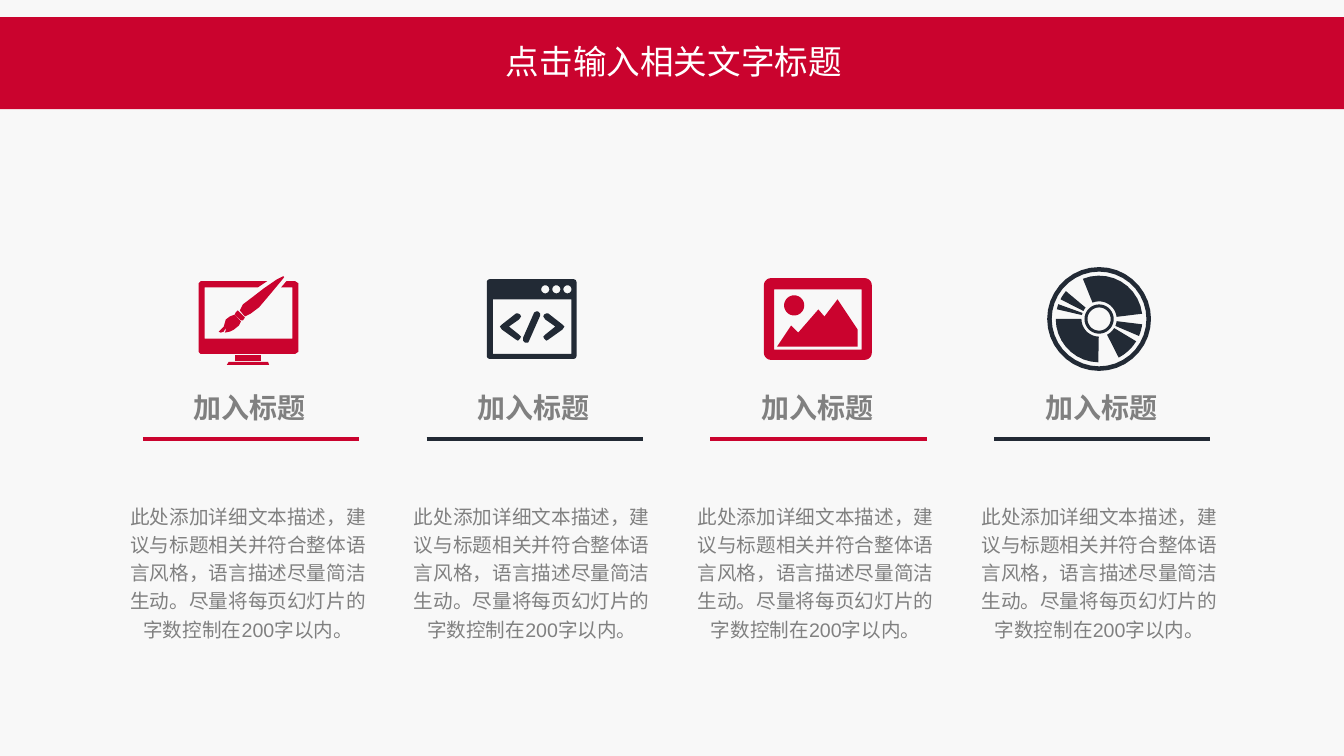
"""Build a slide with a title band and four icon columns."""
from dataclasses import dataclass
from math import cos, radians, sin

from pptx import Presentation
from pptx.dml.color import RGBColor
from pptx.enum.shapes import MSO_CONNECTOR, MSO_SHAPE
from pptx.enum.text import MSO_AUTO_SIZE, PP_ALIGN
from pptx.oxml.ns import qn
from pptx.slide import Slide
from pptx.util import Cm, Pt
from lxml.etree import SubElement

Contour = list[tuple[float, float]]
Part = list[Contour]

RED, NAVY, GRAY, WHITE, PAPER = "CA032E", "222A35", "808080", "FFFFFF", "F8F8F8"
GRID = 0.0254
COLUMN_LEFT, COLUMN_PITCH, RULE_WIDTH, RULE_TOP = 3.6, 7.15, 5.45, 11.07
HEADING = "加入标题"
DESCRIPTION = (
    "此处添加详细文本描述，建议与标题相关并符合整体语言风格，"
    "语言描述尽量简洁生动。尽量将每页幻灯片的字数控制在200字以内。"
)


@dataclass
class TextStyle:
    """Hold the look of one kind of text."""
    font: dict
    frame: dict
    color: str
    line_spacing: float = 1.0


@dataclass
class Column:
    """Hold the accent colour and icon of one column."""
    color: str
    icon: list[Part]


TITLE = TextStyle({"name": "Noto Sans CJK SC", "size": Pt(24)}, {"word_wrap": False}, WHITE)
SNUG = {"word_wrap": True, "margin_top": Cm(0), "margin_bottom": Cm(0), "margin_right": Cm(0.25)}
LABEL = TextStyle({"name": "Arial", "size": Pt(20), "bold": True}, {**SNUG, "margin_left": Cm(0)}, GRAY)
BODY = TextStyle({"name": "Arial", "size": Pt(14)}, {**SNUG, "margin_left": Cm(0.25)}, GRAY, 1.2)


def color(value: str) -> RGBColor:
    """Turn a hex string into a colour."""
    return RGBColor.from_string(value)


def arc(x: float, y: float, radius: float, start: float, end: float) -> Contour:
    """Return points along a circular arc, angles in degrees."""
    steps = max(4, round(abs(end - start) / 10))
    angles = [radians(start + (end - start) * step / steps) for step in range(steps + 1)]
    return [(x + radius * cos(angle), y + radius * sin(angle)) for angle in angles]


def circle(x: float, y: float, radius: float) -> Contour:
    """Return a full circle."""
    return arc(x, y, radius, 0, 360)


def rectangle(left: float, top: float, right: float, bottom: float) -> Contour:
    """Return a rectangle with sharp corners."""
    return [(left, top), (right, top), (right, bottom), (left, bottom)]


def rounded(left: float, top: float, right: float, bottom: float, radius: float) -> Contour:
    """Return a rectangle with rounded corners."""
    centers = rectangle(left + radius, top + radius, right - radius, bottom - radius)
    return [
        point
        for corner, (x, y) in enumerate(centers)
        for point in arc(x, y, radius, 180 + 90 * corner, 270 + 90 * corner)
    ]


def wedge(x: float, y: float, start: float, end: float) -> Contour:
    """Return one sector of the disc surface."""
    return arc(x, y, 43, start, end) + arc(x, y, 17.5, end, start)


def monitor_icon() -> list[Part]:
    """Return a monitor with a paint brush."""
    screen = [(293, 279), (284, 279), (279, 285), (290, 285), (290, 336), (203, 336),
              (203, 285), (256, 285), (265, 279), (199, 279), (197, 281), (197, 349),
              (199, 351), (293, 351), (296, 349), (296, 281)]
    bristles = [(224, 317), (222, 324), (217, 329), (219, 330), (222, 329), (224, 325),
                (224, 328), (223, 330), (228, 329), (232, 327), (237, 323), (239, 319),
                (233, 312), (228, 314)]
    ferrule = [(236, 308), (234, 310), (233, 312), (239, 318), (241, 318), (243, 315)]
    handle = [(275, 277), (262, 286), (249, 296), (241, 302), (238, 308), (243, 314),
              (249, 311), (257, 305), (268, 292), (278, 280), (282, 275), (281, 274)]
    foot = [(227, 359), (266, 359), (267, 362), (225, 362)]
    return [[rectangle(233, 352, 259, 358)], [foot], [screen], [bristles], [handle], [ferrule]]


def code_icon() -> list[Part]:
    """Return a program window with a code tag."""
    window = [rounded(483, 277, 572, 356, 3), rectangle(489, 297, 567, 351)]
    dots = [circle(541 + 11 * index, 287, 4) for index in range(3)]
    opening = [(514, 338), (512, 337), (498, 327), (496, 324), (498, 322), (512, 311),
               (514, 311), (516, 312), (517, 314), (515, 317), (505, 324), (515, 332),
               (517, 334), (516, 336)]
    closing = [(1056 - x, y) for x, y in opening]
    slash = [(522, 340), (521, 340), (519, 338), (519, 335), (530, 310), (532, 309),
             (534, 309), (536, 311), (536, 313), (525, 338), (524, 340)]
    return [window + dots, [opening], [closing], [slash]]


def photo_icon() -> list[Part]:
    """Return a framed landscape."""
    mountains = [(851, 327), (831, 297), (818, 314), (812, 307), (792, 330), (785, 323),
                 (771, 344), (851, 344)]
    frame = [rounded(758, 276, 865, 357, 7), rectangle(768, 287, 855, 347)]
    return [frame + [mountains, circle(788, 303, 10)]]


def disc_icon() -> list[Part]:
    """Return a compact disc."""
    x, y = 1090.5, 316.5
    rings = [[circle(x, y, outer), circle(x, y, inner)] for outer, inner in ((51.5, 47), (14.5, 11.5))]
    sectors = ((-112, -7), (7, 23), (31, 63), (91, 180), (193, 200), (207, 220))
    return rings + [[wedge(x, y, start, end)] for start, end in sectors]


def draw_icon(page: Slide, column: Column) -> None:
    """Draw the parts of an icon as one group."""
    group = page.shapes.add_group_shape()
    for part in column.icon:
        outlines = [[(Cm(GRID * x), Cm(GRID * y)) for x, y in contour] for contour in part]
        builder = group.shapes.build_freeform(*outlines[0][0], scale=1.0)
        builder.add_line_segments(outlines[0][1:], close=True)
        for outline in outlines[1:]:
            builder.move_to(*outline[0])
            builder.add_line_segments(outline[1:], close=True)
        shape = builder.convert_to_shape()
        shape.shadow.inherit = False
        shape.fill.solid()
        shape.fill.fore_color.rgb = color(column.color)
        shape.line.fill.background()


def draw_text(page: Slide, text: str, style: TextStyle, place: tuple[float, ...]) -> None:
    """Draw a centred text box at left, top, width, height."""
    frame = page.shapes.add_textbox(*map(Cm, place)).text_frame
    frame.auto_size = MSO_AUTO_SIZE.SHAPE_TO_FIT_TEXT
    for name, value in style.frame.items():
        setattr(frame, name, value)
    para = frame.paragraphs[0]
    para.alignment = PP_ALIGN.CENTER
    para.line_spacing = style.line_spacing
    span = para.add_run()
    span.text = text
    for name, value in style.font.items():
        setattr(span.font, name, value)
    span.font.color.rgb = color(style.color)


def draw_column(page: Slide, column: Column, left: float) -> None:
    """Draw the rule, heading, description and icon of a column."""
    rule = page.shapes.add_connector(
        MSO_CONNECTOR.STRAIGHT, Cm(left), Cm(RULE_TOP), Cm(left + RULE_WIDTH), Cm(RULE_TOP))
    rule.line.color.rgb = color(column.color)
    rule.line.width = Pt(3)
    SubElement(rule.line._get_or_add_ln().getparent(), qn("a:effectLst"))
    draw_text(page, HEADING, LABEL, (left - 0.53, 9.85, 6.71, 0.86))
    draw_text(page, DESCRIPTION, BODY, (left - 0.7, 12.6, 6.71, 3.58))
    draw_icon(page, column)


def main() -> None:
    """Create the deck and save it."""
    deck = Presentation()
    deck.slide_width, deck.slide_height = Cm(33.87), Cm(19.05)
    page = deck.slides.add_slide(deck.slide_layouts[6])
    page.background.fill.solid()
    page.background.fill.fore_color.rgb = color(PAPER)
    band = page.shapes.add_shape(MSO_SHAPE.RECTANGLE, Cm(0), Cm(0.43), deck.slide_width, Cm(2.32))
    band.shadow.inherit = False
    band.fill.solid()
    band.fill.fore_color.rgb = color(RED)
    band.line.fill.background()
    draw_text(page, "点击输入相关文字标题", TITLE, (12.45, 0.91, 9.07, 1.27))
    columns = [Column(RED, monitor_icon()), Column(NAVY, code_icon()),
               Column(RED, photo_icon()), Column(NAVY, disc_icon())]
    for index, column in enumerate(columns):
        draw_column(page, column, COLUMN_LEFT + COLUMN_PITCH * index)
    deck.save("out.pptx")


if __name__ == "__main__":
    main()
